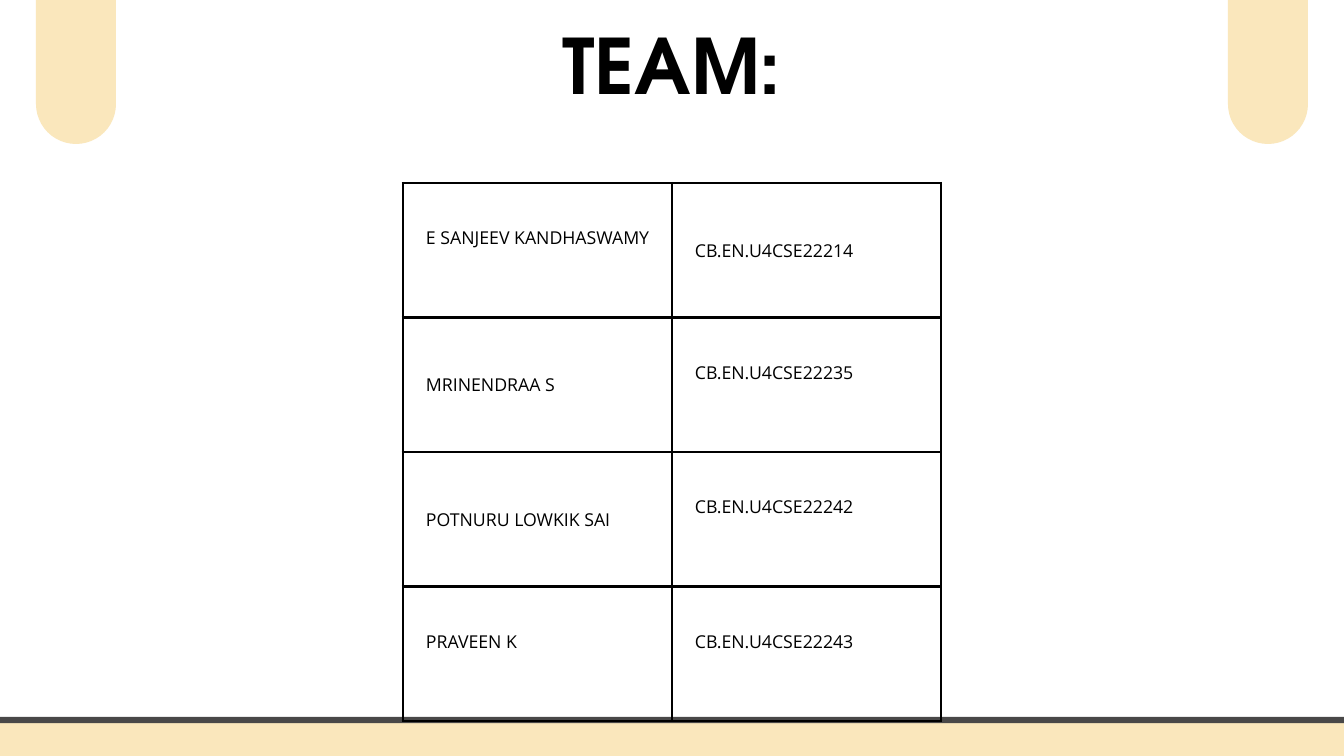
"""Build the team slide: two hanging tabs, a footer band, a title and a member table."""
import lxml.etree
import pptx
import pptx.dml.color
import pptx.enum.shapes
import pptx.enum.text
import pptx.oxml.ns
import pptx.util

PX = 914400 / 67.2
CREAM, SLATE, BLACK = "FAE7BC", "494848", "000000"
TITLE_FONT = {"name": "TeX Gyre Adventor", "size": pptx.util.Pt(81.9), "bold": True}
CELL_FONT = {"name": "Open Sans", "size": pptx.util.Pt(19), "bold": False}
MIDDLE = pptx.enum.text.MSO_ANCHOR.MIDDLE
CELL_FORMAT = {"margin_left": 23, "margin_right": 14, "margin_top": 14}
LIFT = 25
MEMBERS = [
    (("E SANJEEV KANDHASWAMY", LIFT), ("CB.EN.U4CSE22214", 0)),
    (("MRINENDRAA S", 0), ("CB.EN.U4CSE22235", LIFT)),
    (("POTNURU LOWKIK SAI", 0), ("CB.EN.U4CSE22242", LIFT)),
    (("PRAVEEN K", LIFT), ("CB.EN.U4CSE22243", LIFT)),
]


def color(value):
    """Turn a hex string into a colour."""
    return pptx.dml.color.RGBColor.from_string(value)


def write(para, text, font, spacing):
    """Put one formatted span into a paragraph."""
    para.line_spacing = pptx.util.Pt(spacing)
    span = para.add_run()
    span.text = text
    for name, value in font.items():
        setattr(span.font, name, value)
    span.font.color.rgb = color(BLACK)


deck = pptx.Presentation()
deck.slide_width, deck.slide_height = round(1344 * PX), round(756 * PX)
page = deck.slides.add_slide(deck.slide_layouts[6])

for left, top, width, height, corner, outline in (
    (1228, -73, 80, 217, 0.5, None),
    (-39, 720, 1422, 60, 0.1, SLATE),
    (36, -73, 80, 217, 0.5, None),
):
    place = [round(value * PX) for value in (left, top, width, height)]
    shape = page.shapes.add_shape(pptx.enum.shapes.MSO_SHAPE.ROUNDED_RECTANGLE, *place)
    shape.adjustments[0] = corner
    shape.shadow.inherit = False
    shape.fill.solid()
    shape.fill.fore_color.rgb = color(CREAM)
    if outline:
        shape.line.color.rgb = color(outline)
        shape.line.width = pptx.util.Pt(6.75)
    else:
        shape.line.fill.background()

place = [round(value * PX) for value in (403, 183, 538, 538)]
table = page.shapes.add_table(len(MEMBERS), 2, *place).table
table.first_row = table.horz_banding = False
for row, member in enumerate(MEMBERS):
    for column, (text, lift) in enumerate(member):
        cell = table.cell(row, column)
        cell.vertical_anchor = MIDDLE
        for name, value in CELL_FORMAT.items():
            setattr(cell, name, round(value * PX))
        cell.margin_bottom = round((14 + lift) * PX)
        write(cell.text_frame.paragraphs[0], text, CELL_FONT, 26.6)
        properties = cell._tc.get_or_add_tcPr()
        for side in ("a:lnL", "a:lnR", "a:lnT", "a:lnB"):
            border = lxml.etree.SubElement(
                properties, pptx.oxml.ns.qn(side), w=str(pptx.util.Pt(3))
            )
            fill = lxml.etree.SubElement(border, pptx.oxml.ns.qn("a:solidFill"))
            lxml.etree.SubElement(fill, pptx.oxml.ns.qn("a:srgbClr"), val=BLACK)
        cell.fill.background()

place = [round(value * PX) for value in (358, 3, 628, 209)]
title = page.shapes.add_textbox(*place).text_frame
title.word_wrap = True
for name in ("margin_left", "margin_right", "margin_top", "margin_bottom"):
    setattr(title, name, 0)
title.paragraphs[0].alignment = pptx.enum.text.PP_ALIGN.CENTER
write(title.paragraphs[0], "TEAM:", TITLE_FONT, 114.7)

deck.save("out.pptx")
